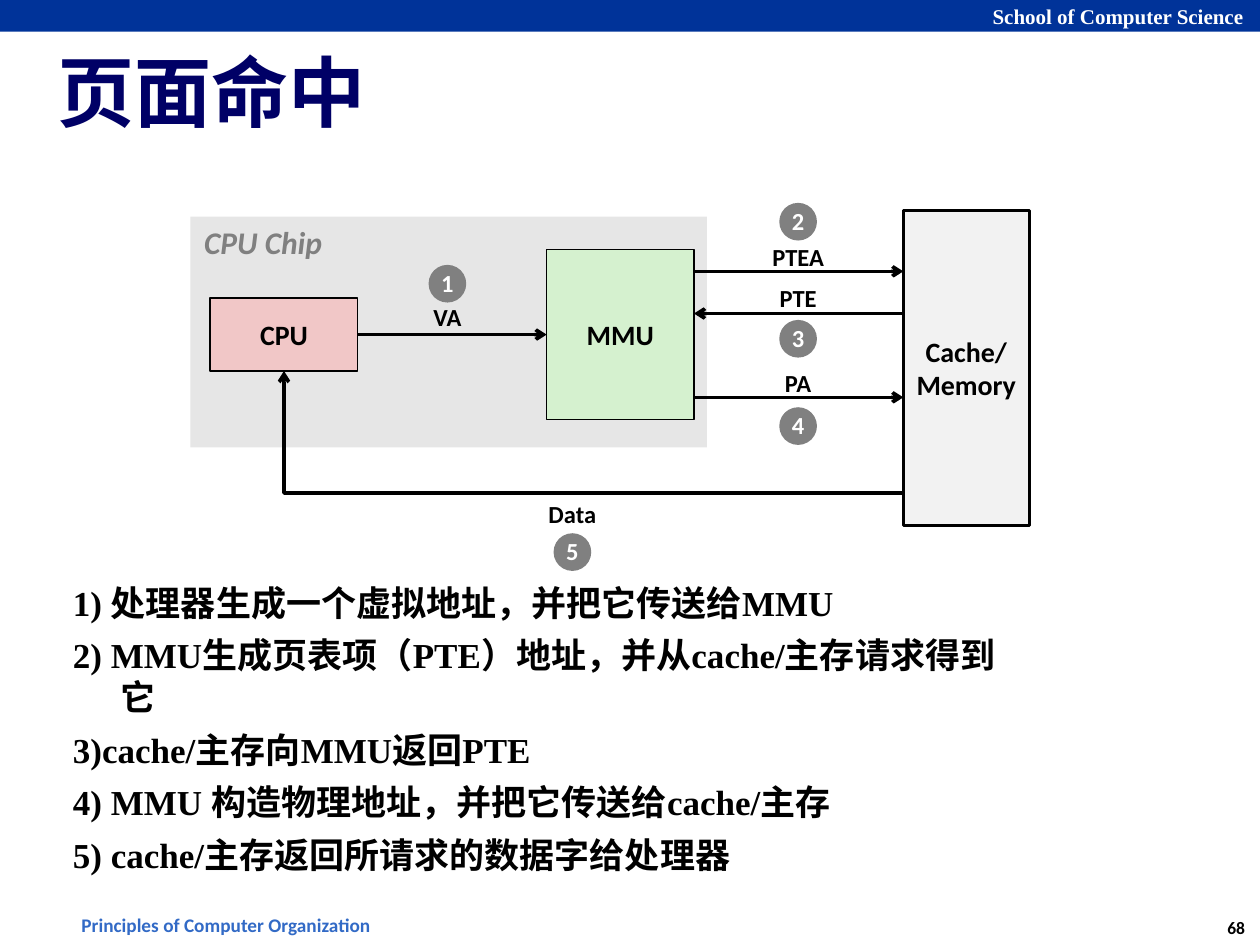
from lxml import etree
from pptx import Presentation
from pptx.dml.color import RGBColor
from pptx.enum.shapes import MSO_CONNECTOR, MSO_SHAPE
from pptx.enum.text import MSO_ANCHOR, PP_ALIGN
from pptx.oxml.ns import qn
from pptx.util import Cm, Pt

RECT, OVAL, STRAIGHT = MSO_SHAPE.RECTANGLE, MSO_SHAPE.OVAL, MSO_CONNECTOR.STRAIGHT
LEFT, CENTER = PP_ALIGN.LEFT, PP_ALIGN.CENTER
TOP, MIDDLE = MSO_ANCHOR.TOP, MSO_ANCHOR.MIDDLE
SIDE_LEFT, SIDE_RIGHT = 1, 3

BLACK = RGBColor(0x00, 0x00, 0x00)
WHITE = RGBColor(0xFF, 0xFF, 0xFF)
GRAY = RGBColor(0x80, 0x80, 0x80)
BAR_BLUE = RGBColor(0x00, 0x33, 0x99)
TITLE_BLUE = RGBColor(0x00, 0x00, 0x66)
FOOTER_BLUE = RGBColor(0x32, 0x6A, 0xC6)
CHIP_GRAY = RGBColor(0xE6, 0xE6, 0xE6)
CACHE_GRAY = RGBColor(0xF2, 0xF2, 0xF2)
MMU_GREEN = RGBColor(0xD5, 0xF1, 0xCF)
CPU_PINK = RGBColor(0xF1, 0xC7, 0xC7)
SANS, SERIF = "Calibri", "Times New Roman"

# Content; all lengths in cm
TITLE = "页面命中"
STEPS = [
    "1) 处理器生成一个虚拟地址，并把它传送给MMU",
    "2) MMU生成页表项（PTE）地址，并从cache/主存请求得到它",
    "3)cache/主存向MMU返回PTE",
    "4) MMU 构造物理地址，并把它传送给cache/主存",
    "5) cache/主存返回所请求的数据字给处理器",
]
CHIP = (3.84, 4.37, 10.41, 4.65)
UNITS = {  # name: lines, box, fill, line width in points
    "MMU": (["MMU"], (11.02, 5.03, 2.97, 3.43), MMU_GREEN, 1),
    "Cache": (["Cache/", "Memory"], (18.21, 4.24, 2.54, 6.35), CACHE_GRAY, 1.5),
    "CPU": (["CPU"], (4.24, 6.01, 2.97, 1.47), CPU_PINK, 1),
}
VA_X, BUS_X, DATA_X = 9.02, 16.09, 11.54
SIGNALS = [  # label, centre x, label centre y, badge centre y
    ("VA", VA_X, 6.41, 5.72),
    ("PTEA", BUS_X, 5.19, 4.47),
    ("PTE", BUS_X, 6.03, 6.83),
    ("PA", BUS_X, 7.73, 8.59),
    ("Data", DATA_X, 10.38, 11.13),
]
BUS_ARROWS = [(5.47, True), (6.32, False), (8.01, True)]  # y, towards the cache
DATA_Y = 9.94
BADGE, LABEL_W, LABEL_H = 0.76, 2.2, 0.84

prs = Presentation()
prs.slide_width, prs.slide_height = Cm(25.4), Cm(19.05)
slide = prs.slides.add_slide(prs.slide_layouts[6])
shapes = slide.shapes


def write(shape, lines, size, color, font=SANS, align=CENTER, anchor=MIDDLE,
          wrap=False, spacing=None):
    frame = shape.text_frame
    frame.text = "\n".join(lines)
    frame.word_wrap = wrap
    frame.vertical_anchor = anchor
    for paragraph in frame.paragraphs:
        paragraph.alignment = align
        paragraph.line_spacing = spacing
        paragraph.font.name, paragraph.font.size = font, Pt(size)
        paragraph.font.bold = True
        paragraph.font.color.rgb = color
    return frame


def add_text(box, lines, size, color, **style):
    return write(shapes.add_textbox(*map(Cm, box)), lines, size, color, **style)


def add_block(kind, box, fill, line_width=None):
    block = shapes.add_shape(kind, *map(Cm, box))
    block.shadow.inherit = False
    block.fill.solid()
    block.fill.fore_color.rgb = fill
    if line_width:
        block.line.color.rgb = BLACK
        block.line.width = Pt(line_width)
    else:
        block.line.fill.background()
    return block


def style_arrow(line):
    line.color.rgb = BLACK
    line.width = Pt(2)
    etree.SubElement(line._get_or_add_ln(), qn("a:tailEnd"), type="arrow")


def add_arrow(x1, y1, x2, y2):
    arrow = shapes.add_connector(STRAIGHT, Cm(x1), Cm(y1), Cm(x2), Cm(y2))
    style_arrow(arrow.line)
    etree.SubElement(arrow._element.spPr, qn("a:effectLst"))
    return arrow


def centred(x, y, width, height):
    return x - width / 2, y - height / 2, width, height


# Header, footer and title
add_block(RECT, (0, 0, 25.4, 0.64), BAR_BLUE)
add_text((19.76, -0.06, 5.61, 0.76), ["School of Computer Science"], 12, WHITE,
         font=SERIF, align=LEFT, anchor=TOP)
add_text((1.31, 18.29, 6.5, 0.74), ["Principles of Computer Organization"], 11,
         FOOTER_BLUE, anchor=TOP)
add_text((24.45, 18.36, 0.94, 0.69), ["68"], 10, BLACK, anchor=TOP)
title = add_text((1.07, 0.69, 23.29, 2.26), [TITLE], 44, TITLE_BLUE,
                 font=SERIF, align=LEFT, wrap=True)
title.margin_left = title.margin_right = Cm(0.1)
title.margin_top = title.margin_bottom = Cm(0.1)

# Numbered steps with a hanging indent
steps = add_text((1.22, 11.59, 19.53, 6.12), STEPS, 20, BLACK,
                 font=SERIF, align=LEFT, anchor=TOP, wrap=True)
for index, paragraph in enumerate(steps.paragraphs):
    paragraph.space_before = Pt(6 if index else 0)
    properties = paragraph._p.get_or_add_pPr()
    properties.set("marL", str(Cm(0.96)))
    properties.set("indent", str(Cm(-0.96)))

# Chip and its units
add_block(RECT, CHIP, CHIP_GRAY)
chip_name = add_text((3.83, 4.37, 2.95, 1.02), ["CPU Chip"], 18, GRAY, anchor=TOP)
chip_name.paragraphs[0].font.italic = True
units = {}
for name, (lines, box, fill, line_width) in UNITS.items():
    units[name] = add_block(RECT, box, fill, line_width)
    write(units[name], lines, 16, BLACK)

# Arrows between the units
cpu_x, cpu_y, cpu_w, cpu_h = UNITS["CPU"][1]
mmu_x, _, mmu_w, _ = UNITS["MMU"][1]
cache_x = UNITS["Cache"][1][0]
mmu_right = mmu_x + mmu_w
cpu_middle = cpu_y + cpu_h / 2

va_arrow = add_arrow(cpu_x + cpu_w, cpu_middle, mmu_x, cpu_middle)
va_arrow.begin_connect(units["CPU"], SIDE_RIGHT)
va_arrow.end_connect(units["MMU"], SIDE_LEFT)
for y, to_cache in BUS_ARROWS:
    start, end = (mmu_right, cache_x) if to_cache else (cache_x, mmu_right)
    add_arrow(start, y, end, y)

# Data path from the cache back to the CPU
cpu_centre = cpu_x + cpu_w / 2
builder = shapes.build_freeform(Cm(cache_x), Cm(DATA_Y))
builder.add_line_segments([(Cm(cpu_centre), Cm(DATA_Y)),
                           (Cm(cpu_centre), Cm(cpu_y + cpu_h))], close=False)
data_path = builder.convert_to_shape()
data_path.shadow.inherit = False
data_path.fill.background()
style_arrow(data_path.line)

# Signal labels and step badges
for number, (label, x, label_y, badge_y) in enumerate(SIGNALS, 1):
    add_text(centred(x, label_y, LABEL_W, LABEL_H), [label], 14, BLACK, spacing=0.98)
    badge = add_block(OVAL, centred(x, badge_y, BADGE, BADGE), GRAY)
    write(badge, [str(number)], 14, WHITE, spacing=0.98)

prs.save("out.pptx")
